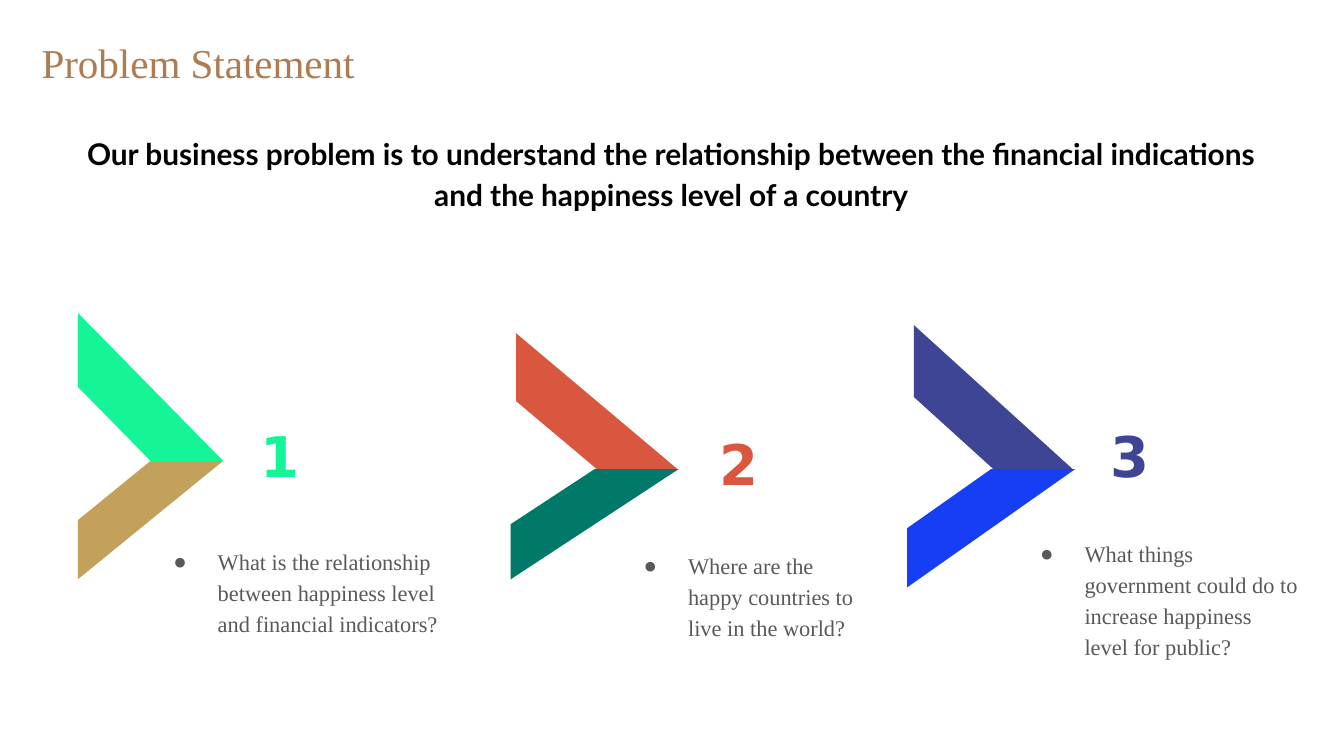
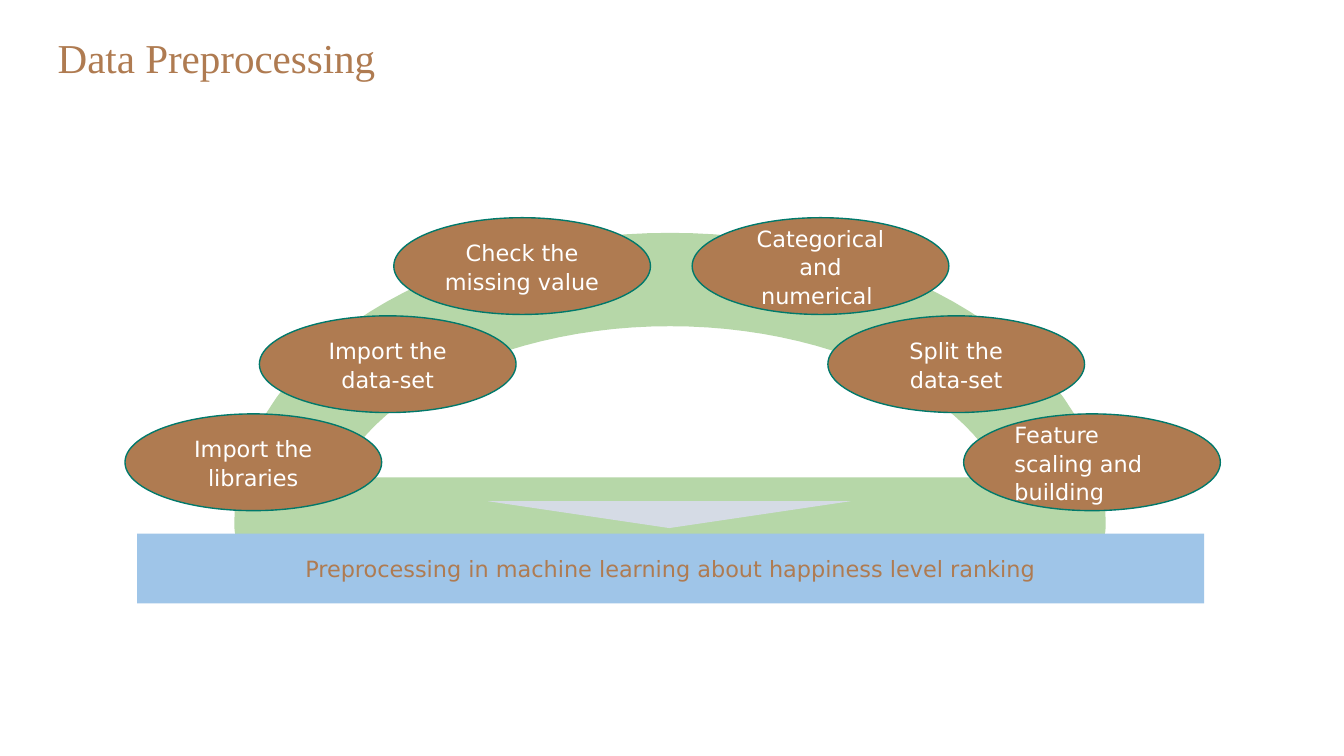
import math
from dataclasses import dataclass
from typing import Optional

from lxml import etree
from pptx import Presentation
from pptx import util as u
from pptx.dml.color import RGBColor
from pptx.enum import shapes, text
from pptx.oxml import ns

COLORS = {
    "brown": "AF7B51", "gray": "595959", "black": "000000", "white": "FFFFFF",
    "mint": "14F597", "sand": "C4A15A", "red": "D9563F", "teal": "00796B",
    "indigo": "3D4594", "blue": "163EF5", "green": "B6D7A8", "pale": "D5DBE5",
    "sky": "9FC5E8",
}
SERIF, SANS, HEADLINE = "Times New Roman", "DejaVu Sans", "Lato"
SHAPE = shapes.MSO_SHAPE
LEFT, CENTER = text.PP_ALIGN.LEFT, text.PP_ALIGN.CENTER


@dataclass
class Area:
    left: float
    top: float
    width: float
    height: float

    def lengths(self) -> list:
        return [u.Inches(v) for v in (self.left, self.top, self.width, self.height)]


@dataclass
class Style:
    font: str
    size: int
    color: str
    bold: bool = False
    align: text.PP_ALIGN = LEFT
    spacing: Optional[float] = None
    inset: float = 0


@dataclass
class Question:
    number: str
    wording: str
    number_area: Area
    wording_area: Area
    upper: Area
    lower: Area
    upper_color: str
    lower_color: str


@dataclass
class Step:
    label: str
    left: float
    level: int
    align: text.PP_ALIGN = CENTER


TITLE = Style(SERIF, 22, "brown")
STATEMENT = Style(HEADLINE, 16, "black", True, CENTER, 1.15, 0.1)
QUESTION = Style(SERIF, 12, "gray", spacing=1.15)
BANNER = Style(SANS, 12, "brown", align=CENTER, inset=0.1)

QUESTIONS = [
    Question("1", "What is the relationship between happiness level and financial indicators?",
             Area(1.9, 3.1, 0.42, 0.58), Area(1.12, 4.05, 2.35, 1.13),
             Area(0.58, 2.33, 1.08, 1.1), Area(0.58, 3.43, 1.08, 0.88), "mint", "sand"),
    Question("2", "Where are the happy countries to live in the world?",
             Area(5.31, 3.16, 0.42, 0.58), Area(4.62, 4.08, 1.8, 0.88),
             Area(3.84, 2.48, 1.2, 1.01), Area(3.8, 3.49, 1.25, 0.82), "red", "teal"),
    Question("3", "What things government could do to increase happiness level for public?",
             Area(8.22, 3.1, 0.42, 0.58), Area(7.57, 3.99, 2.1, 0.88),
             Area(6.8, 2.42, 1.18, 1.07), Area(6.75, 3.49, 1.25, 0.88), "indigo", "blue"),
]
STEPS = [
    Step("Import the libraries", 0.93, 0),
    Step("Import the data-set", 1.93, 1),
    Step("Check the missing value", 2.93, 2),
    Step("Feature scaling and building", 7.17, 0, LEFT),
    Step("Split the data-set", 6.16, 1),
    Step("Categorical and numerical ", 5.15, 2),
]


def rgb(name: str) -> RGBColor:
    return RGBColor.from_string(COLORS[name])


def write(shape, wording: str, style: Style):
    """Fill a shape with one styled paragraph and return the paragraph."""
    frame = shape.text_frame
    frame.text = wording
    frame.word_wrap = True
    frame.margin_left = frame.margin_right = u.Inches(style.inset)
    frame.margin_top = frame.margin_bottom = u.Inches(style.inset)
    para = frame.paragraphs[0]
    para.alignment = style.align
    if style.spacing:
        para.line_spacing = style.spacing
    for span in para.runs:
        span.font.name = style.font
        span.font.size = u.Pt(style.size)
        span.font.bold = style.bold
        span.font.color.rgb = rgb(style.color)
    return para


def add_text(page, area: Area, wording: str, style: Style):
    box = page.shapes.add_textbox(*area.lengths())
    return write(box, wording, style)


def add_bullet(para, style: Style) -> None:
    properties = para._p.get_or_add_pPr()
    properties.set("marL", str(u.Inches(0.5)))
    properties.set("indent", str(u.Inches(-0.33)))
    bullet_color = etree.SubElement(properties, ns.qn("a:buClr"))
    etree.SubElement(bullet_color, ns.qn("a:srgbClr"), val=COLORS[style.color])
    etree.SubElement(properties, ns.qn("a:buFont"), typeface=style.font)
    etree.SubElement(properties, ns.qn("a:buChar"), char="●")


def add_figure(page, kind: shapes.MSO_SHAPE, area: Area, color: str,
               outline: Optional[str] = None, upside_down: bool = False):
    figure = page.shapes.add_shape(kind, *area.lengths())
    figure.shadow.inherit = False
    figure.fill.solid()
    figure.fill.fore_color.rgb = rgb(color)
    if outline:
        figure.line.color.rgb = rgb(outline)
        figure.line.width = u.Pt(0.75)
    else:
        figure.line.fill.background()
    if upside_down:
        figure._element.spPr.xfrm.set("flipV", "1")
    return figure


def add_question(page, question: Question) -> None:
    para = add_text(page, question.wording_area, question.wording, QUESTION)
    add_bullet(para, QUESTION)
    add_text(page, question.number_area, question.number,
             Style(SANS, 30, question.upper_color, True, inset=0.04))
    add_figure(page, SHAPE.DIAGONAL_STRIPE, question.lower, question.lower_color)
    add_figure(page, SHAPE.DIAGONAL_STRIPE, question.upper, question.upper_color,
               upside_down=True)


def add_arch(page, area: Area, color: str, segments: int = 60) -> None:
    """Draw the thick outline of the upper half of an ellipse."""
    radius = area.width / 2
    center, base = area.left + radius, area.top + area.height
    points = []
    for index in range(segments + 1):
        angle = math.pi * index / segments
        points.append((u.Inches(center - radius * math.cos(angle)),
                       u.Inches(base - area.height * math.sin(angle))))
    builder = page.shapes.build_freeform(*points[0])
    builder.add_line_segments(points[1:], close=True)
    arch = builder.convert_to_shape()
    arch.shadow.inherit = False
    arch.fill.background()
    arch.line.color.rgb = rgb(color)
    arch.line.width = u.Pt(50)


def add_step(page, step: Step) -> None:
    area = Area(step.left, 3.08 - 0.73 * step.level, 1.91, 0.72)
    oval = add_figure(page, SHAPE.OVAL, area, "brown", outline="teal")
    oval.text_frame.vertical_anchor = text.MSO_ANCHOR.MIDDLE
    write(oval, step.label, Style(SANS, 12, "white", align=step.align, spacing=1.06, inset=0.1))


def add_page(deck, title: str, left: float, top: float):
    page = deck.slides.add_slide(deck.slide_layouts[6])
    add_text(page, Area(left, top, 9.13, 0.39), title, TITLE)
    return page


def build_problem(deck) -> None:
    page = add_page(deck, "Problem Statement", 0.31, 0.28)
    for question in QUESTIONS:
        add_question(page, question)
    para = add_text(page, Area(0.37, 0.87, 9.25, 0.78),
                    "Our business problem is to understand the relationship between "
                    "the financial indications and the happiness level of a country", STATEMENT)
    para.space_after = u.Pt(12)


def build_preprocessing(deck) -> None:
    page = add_page(deck, "Data Preprocessing", 0.43, 0.24)
    add_arch(page, Area(2.09, 2.08, 5.79, 1.82), "green")
    add_figure(page, SHAPE.ISOSCELES_TRIANGLE, Area(3.63, 3.73, 2.7, 0.2), "pale",
               upside_down=True)
    for step in STEPS:
        add_step(page, step)
    banner = add_figure(page, SHAPE.RECTANGLE, Area(1.02, 3.97, 7.94, 0.52), "sky")
    banner.text_frame.vertical_anchor = text.MSO_ANCHOR.MIDDLE
    write(banner, "Preprocessing in machine learning about happiness level ranking", BANNER)


def main() -> None:
    deck = Presentation()
    deck.slide_width = u.Inches(10)
    deck.slide_height = deck.slide_width * 9 // 16
    build_problem(deck)
    build_preprocessing(deck)
    deck.save("out.pptx")


if __name__ == "__main__":
    main()
